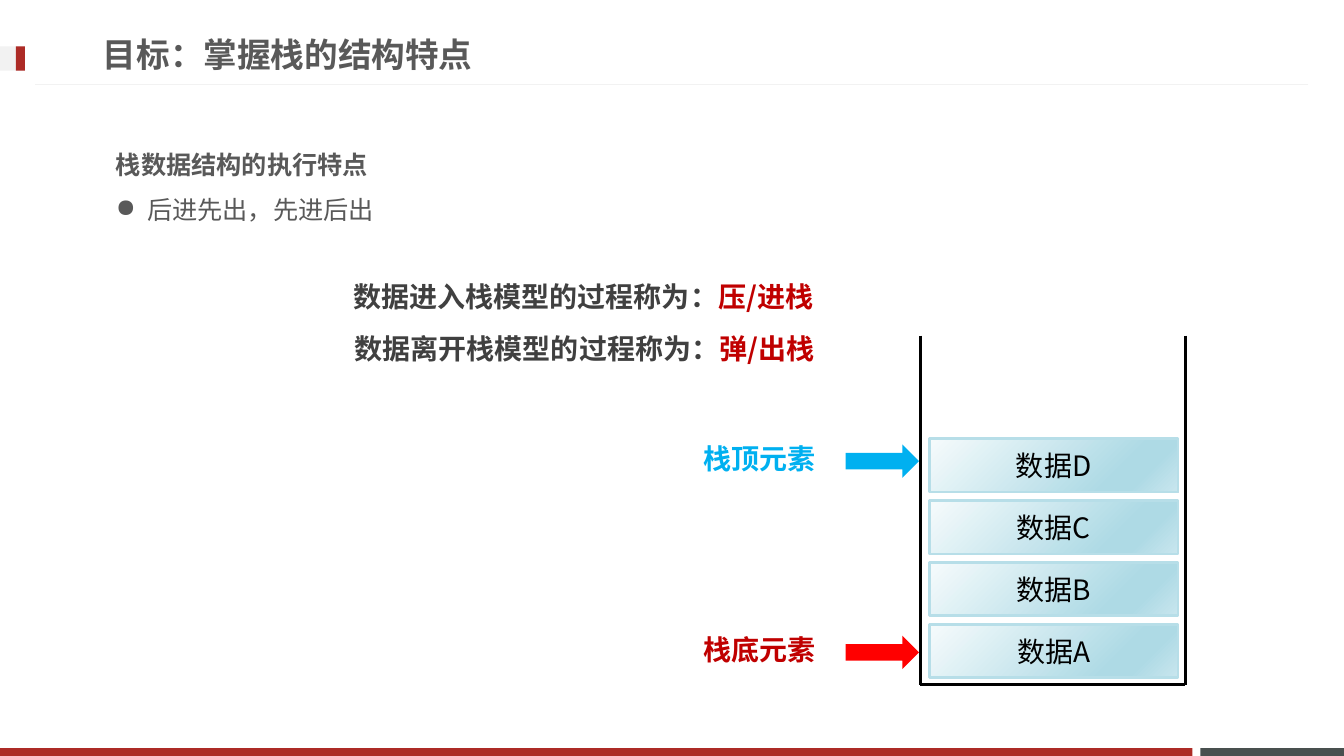
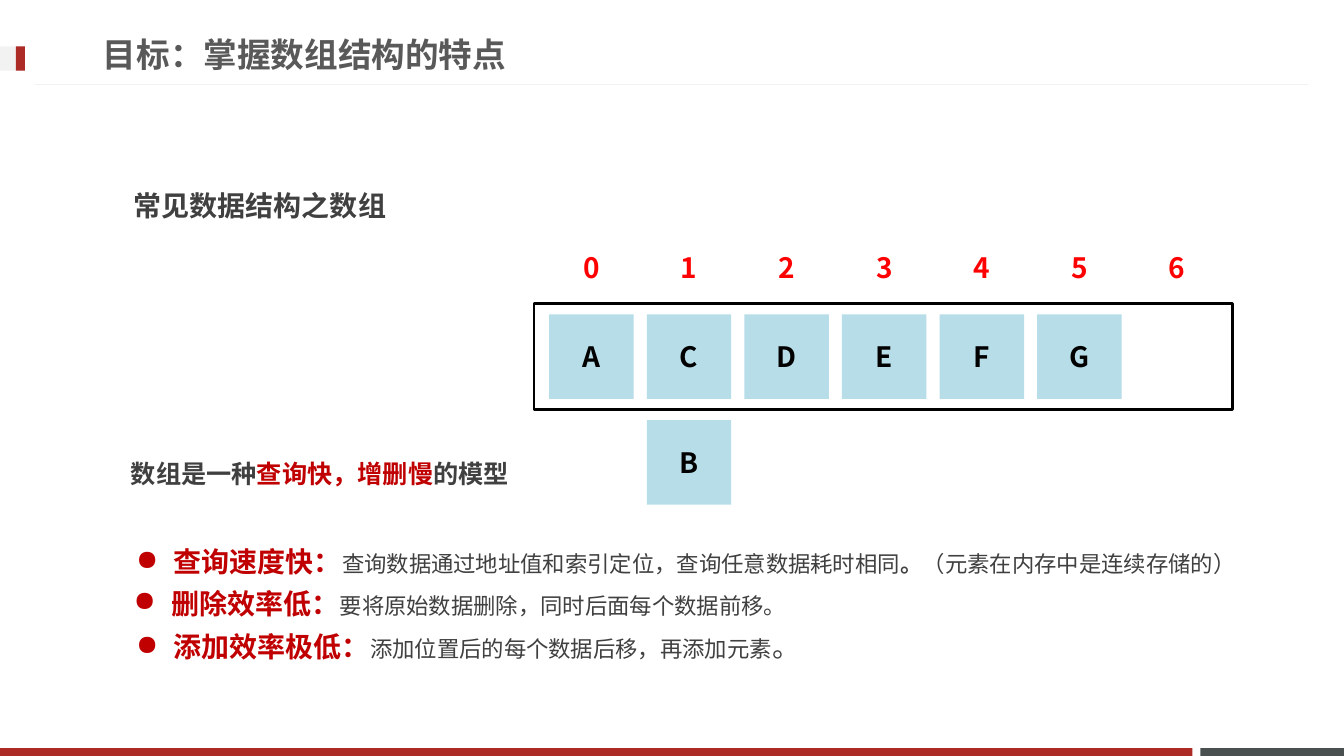
"""Build two slides on the stack and the array."""
from dataclasses import dataclass
from typing import Optional

from lxml.etree import SubElement
from pptx import Presentation
from pptx.dml.color import RGBColor
from pptx.enum.lang import MSO_LANGUAGE_ID
from pptx.enum.shapes import MSO_CONNECTOR, MSO_SHAPE, PP_PLACEHOLDER
from pptx.enum.text import MSO_ANCHOR, MSO_AUTO_SIZE, PP_ALIGN
from pptx.oxml.ns import qn
from pptx.util import Cm, Pt


@dataclass(frozen=True)
class Theme:
    font: str = "Noto Sans CJK JP"
    mark: str = "OpenSymbol"
    title: int = 24
    large: int = 20
    body: int = 18
    small: int = 16
    brand: str = "AD2B26"
    slate: str = "49504F"
    pale: str = "F2F2F2"
    grey: str = "595959"
    ink: str = "404040"
    black: str = "000000"
    deep: str = "C00000"
    red: str = "FF0000"
    blue: str = "00B0F0"
    aqua: str = "B7DEE8"
    blend: tuple = ((0, "F6FBFC"), (74, "AEDAE5"), (83, "AEDAE5"), (100, "C9E6EE"))


THEME = Theme()


@dataclass(frozen=True)
class Box:
    left: float
    top: float
    width: float
    height: float

    def spans(self) -> tuple:
        return Cm(self.left), Cm(self.top), Cm(self.width), Cm(self.height)


@dataclass(frozen=True)
class Bit:
    text: str
    color: str = THEME.ink
    size: int = THEME.large
    bold: bool = True


@dataclass(frozen=True)
class Para:
    bits: tuple
    indent: float = 0
    space: Optional[float] = 1.5
    align: PP_ALIGN = PP_ALIGN.LEFT


@dataclass(frozen=True)
class Note:
    box: Box
    paras: tuple


@dataclass(frozen=True)
class Tag:
    text: str
    top: float
    color: str
    fill: str


def write(frame, paras: tuple) -> None:
    for spot, item in enumerate(paras):
        para = frame.add_paragraph() if spot else frame.paragraphs[0]
        para.alignment = item.align
        if item.space:
            para.line_spacing = item.space
        if item.indent:
            props = para._p.get_or_add_pPr()
            props.set("marL", str(Cm(item.indent)))
            props.set("indent", str(-Cm(item.indent)))
            SubElement(props, qn("a:buFont")).set("typeface", THEME.mark)
            SubElement(props, qn("a:buChar")).set("char", "●")
        for bit in item.bits:
            run = para.add_run()
            run.text = bit.text
            font = run.font
            font.name, font.size, font.bold = THEME.font, Pt(bit.size), bit.bold
            font.color.rgb = RGBColor.from_string(bit.color)
            font.language_id = MSO_LANGUAGE_ID.SIMPLIFIED_CHINESE
            SubElement(run._r.get_or_add_rPr(), qn("a:ea")).set("typeface", THEME.font)


def draw(slide, box: Box, fill: str = "", edge: str = "", kind: MSO_SHAPE = MSO_SHAPE.RECTANGLE):
    shape = slide.shapes.add_shape(kind, *box.spans())
    shape.shadow.inherit = False
    if fill:
        shape.fill.solid()
        shape.fill.fore_color.rgb = RGBColor.from_string(fill)
    else:
        shape.fill.background()
    if edge:
        shape.line.color.rgb = RGBColor.from_string(edge)
        shape.line.width = Pt(2)
    else:
        shape.line.fill.background()
    return shape


def shade(shape) -> None:
    shape.fill.gradient()
    grad = shape.element.spPr.find(qn("a:gradFill"))
    for child in list(grad):
        grad.remove(child)
    stops = SubElement(grad, qn("a:gsLst"))
    for place, color in THEME.blend:
        stop = SubElement(stops, qn("a:gs"))
        stop.set("pos", str(place * 1000))
        SubElement(stop, qn("a:srgbClr")).set("val", color)
    SubElement(grad, qn("a:lin")).set("ang", str(45 * 60000))


def rule(slide, start: tuple, end: tuple, color: str, width: float):
    line = slide.shapes.add_connector(
        MSO_CONNECTOR.STRAIGHT, Cm(start[0]), Cm(start[1]), Cm(end[0]), Cm(end[1]))
    line.line.color.rgb = RGBColor.from_string(color)
    line.line.width = Pt(width)
    SubElement(line.element.spPr, qn("a:effectLst"))
    return line


def label(shape, text: str, color: str, bold: bool) -> None:
    frame = shape.text_frame
    frame.word_wrap = True
    frame.vertical_anchor = MSO_ANCHOR.MIDDLE
    write(frame, (Para((Bit(text, color, bold=bold),), space=None, align=PP_ALIGN.CENTER),))


def place(slide, note: Note) -> None:
    frame = slide.shapes.add_textbox(*note.box.spans()).text_frame
    frame.word_wrap = True
    frame.auto_size = MSO_AUTO_SIZE.SHAPE_TO_FIT_TEXT
    write(frame, note.paras)


def start(deck, text: str):
    slide = deck.slides.add_slide(deck.slide_layouts[5])
    title = slide.shapes.title
    title.left, title.top, title.width, title.height = Box(2.34, -0.08, 19.94, 3).spans()
    frame = title.text_frame
    frame.word_wrap = True
    frame.auto_size = MSO_AUTO_SIZE.NONE
    frame.vertical_anchor = MSO_ANCHOR.MIDDLE
    write(frame, (Para((Bit(text, THEME.grey, THEME.title),), space=0.9),))
    return slide


def dress(slide) -> None:
    """Move the shared bands and rule to the layout."""
    layout = slide.slide_layout
    for item in list(layout.placeholders):
        if item.placeholder_format.type != PP_PLACEHOLDER.TITLE:
            item.element.getparent().remove(item.element)
    parts = [
        draw(slide, Box(30.25, 18.85, 3.62, 0.2), THEME.slate),
        draw(slide, Box(0, 18.85, 30.05, 0.2), THEME.brand),
        rule(slide, (32.97, 2.13), (0.89, 2.13), THEME.pale, 0.75),
        draw(slide, Box(0, 1.17, 0.63, 0.61), THEME.pale),
        draw(slide, Box(0.4, 1.17, 0.23, 0.61), THEME.brand),
    ]
    for part in parts:
        layout.shapes.element.append(part.element)


def stack(slide) -> None:
    left, right, top, base = 23.19, 29.87, 8.46, 17.25
    for head, tail in (((left, top), (left, base)), ((right, top), (right, base)),
                       ((left, base), (right, base))):
        rule(slide, head, tail, THEME.black, 2)
    for row, name in enumerate("DCBA"):
        shape = draw(slide, Box(23.42, 11.05 + row * 1.56, 6.27, 1.35), THEME.aqua, THEME.aqua)
        shade(shape)
        label(shape, f"数据{name}", THEME.black, False)
    for tag in (Tag("栈顶元素", 10.57, THEME.blue, THEME.blue),
                Tag("栈底元素", 15.39, THEME.deep, THEME.red)):
        place(slide, Note(Box(17.48, tag.top, 4.19, 1.42), (Para((Bit(tag.text, tag.color),)),)))
        draw(slide, Box(21.31, tag.top + 0.63, 1.85, 0.84), tag.fill, kind=MSO_SHAPE.RIGHT_ARROW)
    notes = (
        Note(Box(8.66, 6.5, 15.19, 1.42),
             (Para((Bit("数据进入栈模型的过程称为："), Bit("压/进栈", THEME.deep))),)),
        Note(Box(8.69, 7.8, 15.39, 1.42),
             (Para((Bit("数据离开栈模型的过程称为："), Bit("弹/出栈", THEME.deep))),)),
        Note(Box(2.67, 3.25, 9.83, 2.46),
             (Para((Bit("栈数据结构的执行特点", THEME.grey, THEME.body),)),
              Para((Bit("后进先出，先进后出", THEME.grey, THEME.body, False),), 0.79))),
    )
    for note in notes:
        place(slide, note)


def cell(col: int, top: float) -> Box:
    return Box(13.84 + col * 2.46, top, 2.13, 2.13)


def array(slide) -> None:
    draw(slide, Box(13.46, 7.65, 17.6, 2.67), edge=THEME.black)
    slots = [(col, 7.92, name) for col, name in enumerate("ACDEFG")]
    for col, top, name in slots + [(1, 10.59, "B")]:
        label(draw(slide, cell(col, top), THEME.aqua), name, THEME.black, True)
    for col in range(7):
        index = slide.shapes.add_textbox(*cell(col, 5.66).spans())
        label(index, str(col), THEME.red, True)
    place(slide, Note(Box(3.12, 4.19, 13, 1.42), (Para((Bit("常见数据结构之数组"),)),)))
    place(slide, Note(Box(3.05, 11.05, 15.39, 1.3), (Para((
        Bit("数组是一种", size=THEME.body),
        Bit("查询快，增删慢", THEME.deep, THEME.body),
        Bit("的模型", size=THEME.body))),)))
    small = THEME.small
    points = (
        (3.18, 13.18, "查询速度快：", (
            Bit("查询数据通过地址值和索引定位，查询任意数据耗时相同", size=small, bold=False),
            Bit("。", size=small),
            Bit("（元素在内存中是连续存储的）", size=small, bold=False))),
        (3.12, 14.22, "删除效率低：", (
            Bit("要将原始数据删除，同时后面每个数据前移。", size=small, bold=False),)),
        (3.18, 15.32, "添加效率极低：", (
            Bit("添加位置后的每个数据后移，再添加元素", size=small, bold=False),
            Bit("。", bold=False))),
    )
    for left, top, lead, rest in points:
        para = Para((Bit(lead, THEME.deep), *rest), 0.95)
        place(slide, Note(Box(left, top, 29.06, 1.42), (para,)))


def main() -> None:
    deck = Presentation()
    deck.slide_width, deck.slide_height = Cm(33.87), Cm(19.05)
    first = start(deck, "目标：掌握栈的结构特点")
    dress(first)
    stack(first)
    array(start(deck, "目标：掌握数组结构的特点"))
    deck.save("out.pptx")


if __name__ == "__main__":
    main()
